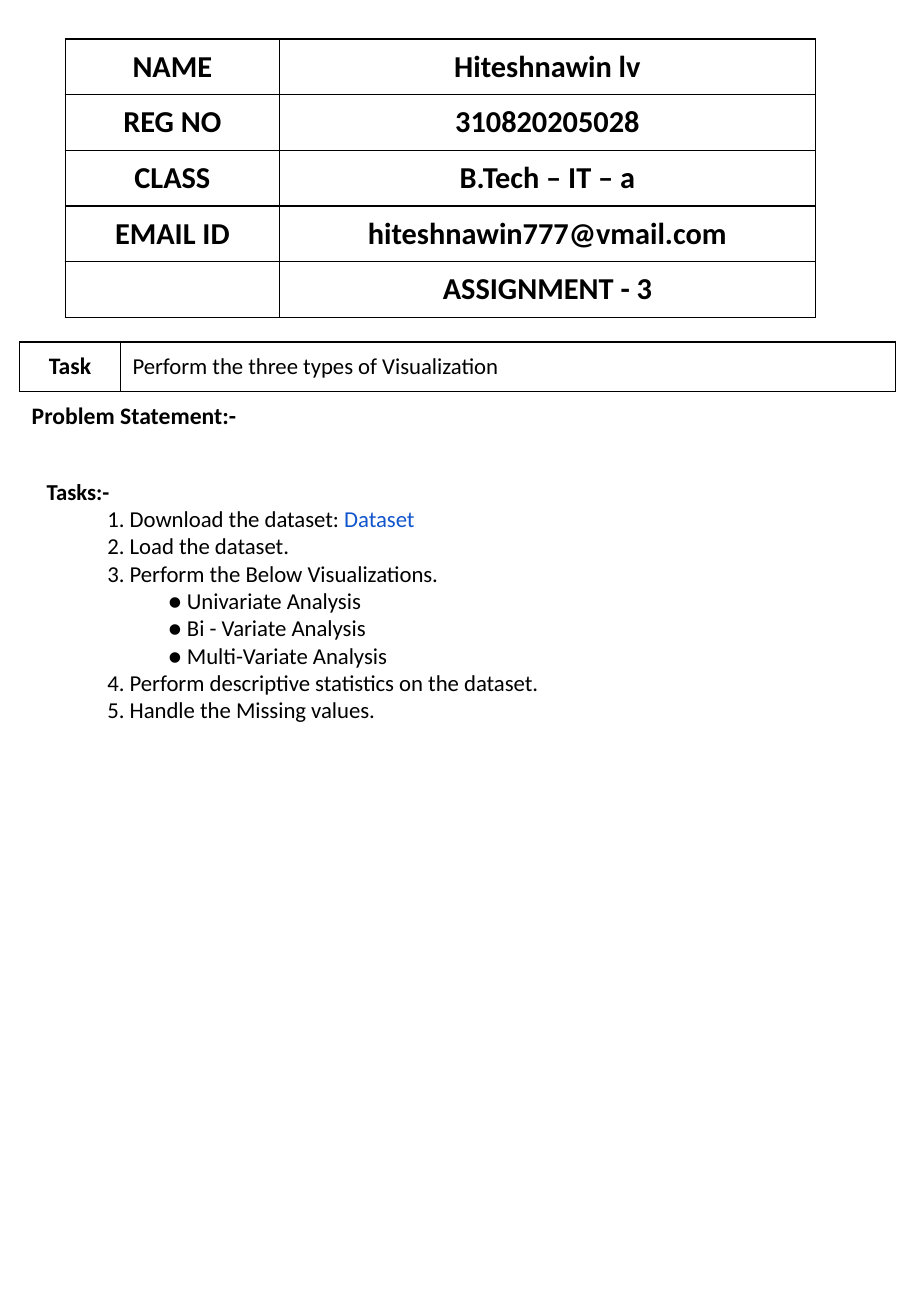
"""Build the assignment cover page with student details and task list."""
from pptx import Presentation
from pptx.dml.color import RGBColor
from pptx.enum.text import MSO_ANCHOR as Anchor, PP_ALIGN as Align
from pptx.oxml.ns import qn
from pptx.util import Pt
from lxml.etree import SubElement

BLACK = RGBColor(0x00, 0x00, 0x00)
LINK_BLUE = RGBColor(0x11, 0x55, 0xCD)
FONT = "Calibri"
BODY_SIZE = 13.5
LIST_INDENT = 36

STUDENT = [
    ("NAME", "Hiteshnawin lv"),
    ("REG NO", "310820205028"),
    ("CLASS", "B.Tech – IT – a"),
    ("EMAIL ID", "hiteshnawin777@vmail.com"),
    ("", "ASSIGNMENT - 3"),
]
TASK = ("Task", "Perform the three types of Visualization")
PROBLEM = "Problem Statement:-"
TASK_LINES = [
    (0, "Tasks:-"),
    (1, "1. Download the dataset: "),
    (1, "2. Load the dataset."),
    (1, "3. Perform the Below Visualizations."),
    (2, "● Univariate Analysis"),
    (2, "● Bi - Variate Analysis"),
    (2, "● Multi-Variate Analysis"),
    (1, "4. Perform descriptive statistics on the dataset."),
    (1, "5. Handle the Missing values."),
]
LINK_LINE, LINK_TEXT = 1, "Dataset"


def add_text(para, text, size=BODY_SIZE, bold=False, color=BLACK, align=None):
    if align is not None:
        para.alignment = align
    span = para.add_run()
    span.text = text
    span.font.name = FONT
    span.font.size = Pt(size)
    span.font.bold = bold
    span.font.color.rgb = color


def add_grid(page, left, top, widths, row_height, row_count):
    frame = page.shapes.add_table(row_count, len(widths), Pt(left), Pt(top),
                                  Pt(sum(widths)), Pt(row_height * row_count))
    grid = frame.table
    grid.first_row = grid.horz_banding = False
    for column, width in zip(grid.columns, widths):
        column.width = Pt(width)
    return grid


def style_cell(cell, edges="LRTB"):
    properties = cell._tc.get_or_add_tcPr()
    for edge in "LRTB":
        line = SubElement(properties, qn(f"a:ln{edge}"), w=str(Pt(1)))
        if edge in edges:
            fill = SubElement(line, qn("a:solidFill"))
            SubElement(fill, qn("a:srgbClr"), val=str(BLACK))
        else:
            SubElement(line, qn("a:noFill"))
    cell.fill.background()
    cell.vertical_anchor = Anchor.MIDDLE


deck = Presentation()
deck.slide_width, deck.slide_height = Pt(540), Pt(780)
page = deck.slides.add_slide(deck.slide_layouts[6])

details = add_grid(page, 38.7, 23.1, (127, 317.7), 33, len(STUDENT))
for row, values in zip(details.rows, STUDENT):
    for cell, value in zip(row.cells, values):
        style_cell(cell)
        if value:
            add_text(cell.text_frame.paragraphs[0], value, size=18, bold=True,
                     align=Align.CENTER)

brief = add_grid(page, 11.6, 202.8, (59.8, 459.3), 29.2, 2)
brief.cell(1, 0).merge(brief.cell(1, 1))
for column, text in enumerate(TASK):
    style_cell(brief.cell(0, column))
    style_cell(brief.cell(1, column), edges="T")
    heading = column == 0
    add_text(brief.cell(0, column).text_frame.paragraphs[0], text,
             size=14 if heading else BODY_SIZE, bold=heading,
             align=Align.CENTER if heading else Align.JUSTIFY)
add_text(brief.cell(1, 0).text_frame.paragraphs[0], PROBLEM, size=14, bold=True)

box = page.shapes.add_textbox(Pt(20.6), Pt(279.5), Pt(510), Pt(155))
box.text_frame.word_wrap = True
for index, (level, text) in enumerate(TASK_LINES):
    para = box.text_frame.paragraphs[0] if index == 0 else box.text_frame.add_paragraph()
    para._p.get_or_add_pPr().set("marL", str(Pt(level * LIST_INDENT)))
    add_text(para, text, bold=level == 0)
    if index == LINK_LINE:
        add_text(para, LINK_TEXT, color=LINK_BLUE)

deck.save("out.pptx")
